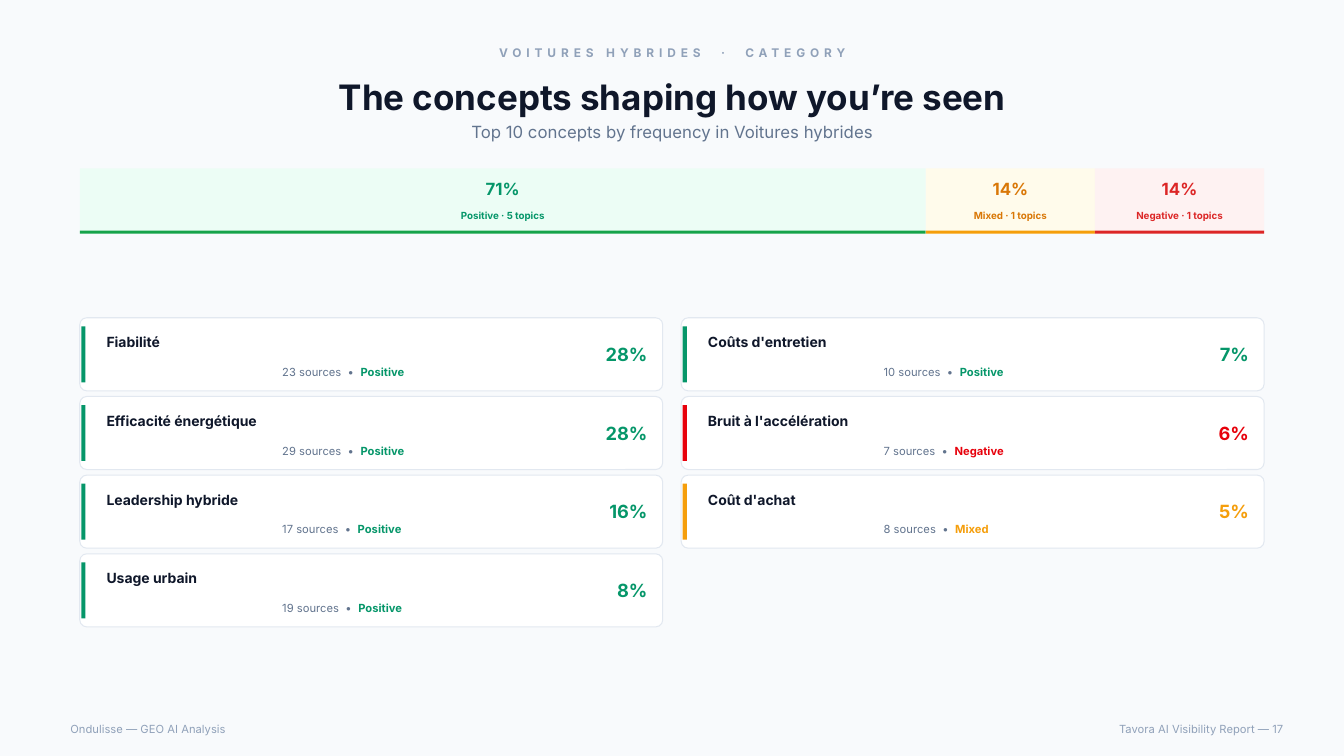
import pptx
import pptx.dml.color
import pptx.enum.shapes
import pptx.enum.text
import pptx.util

Pt = pptx.util.Pt
Shape = pptx.enum.shapes.MSO_SHAPE
Anchor = pptx.enum.text.MSO_ANCHOR
Align = pptx.enum.text.PP_ALIGN

HUES = {
    "page": "F8FAFC", "card": "FFFFFF", "edge": "E2E8F0",
    "ink": "0F172A", "slate": "62748E", "mist": "90A1B9",
    "green": "059669", "amber": "F59E0B", "red": "E7000B",
    "mint": "ECFDF5", "cream": "FFFBEB", "rose": "FEF2F2",
    "leaf": "16A34A", "ochre": "D97706", "brick": "DC2626",
}
TONES = {"Positive": "green", "Mixed": "amber", "Negative": "red"}
BANDS = [
    ("Positive", 5, "71%", "mint", "leaf", "green"),
    ("Mixed", 1, "14%", "cream", "amber", "ochre"),
    ("Negative", 1, "14%", "rose", "brick", "brick"),
]
CARDS = [
    ("Fiabilité", 23, "Positive", "28%"),
    ("Efficacité énergétique", 29, "Positive", "28%"),
    ("Leadership hybride", 17, "Positive", "16%"),
    ("Usage urbain", 19, "Positive", "8%"),
    ("Coûts d'entretien", 10, "Positive", "7%"),
    ("Bruit à l'accélération", 7, "Negative", "6%"),
    ("Coût d'achat", 8, "Mixed", "5%"),
]
LEFT, WIDTH = 57, 846
ROWS, CARD_W, CARD_H = 4, 416.4, 52.2
COL_STEP, ROW_STEP, CARD_TOP = 429.6, 56.2, 227


class Deck:
    font = "Inter"

    def __init__(self, show):
        self.slide = show.slides.add_slide(show.slide_layouts[5])
        fill = self.slide.background.fill
        fill.solid()
        fill.fore_color.rgb = self.hue("page")

    def hue(self, name):
        return pptx.dml.color.RGBColor.from_string(HUES[name])

    def put(self, shape, runs, size, align, anchor):
        frame = shape.text_frame
        frame.word_wrap = True
        frame.auto_size = pptx.enum.text.MSO_AUTO_SIZE.NONE
        frame.vertical_anchor = anchor
        para = frame.paragraphs[0]
        para.alignment = align
        for text, hue, bold in runs:
            run = para.add_run()
            run.text = text
            run.font.name = self.font
            run.font.size = Pt(size)
            run.font.bold = bold
            run.font.color.rgb = self.hue(hue)
        return para

    def title(self, text, x, y, w, h):
        shape = self.slide.shapes.title
        shape.left, shape.top, shape.width, shape.height = map(Pt, (x, y, w, h))
        self.put(shape, [(text, "ink", True)], 25, Align.CENTER, Anchor.MIDDLE)

    def text(self, runs, x, y, w, h, size, align=Align.LEFT, anchor=Anchor.MIDDLE):
        box = self.slide.shapes.add_textbox(*map(Pt, (x, y, w, h)))
        return self.put(box, runs, size, align, anchor)

    def rect(self, hue, x, y, w, h, edge=None, curve=0):
        kind = Shape.ROUNDED_RECTANGLE if curve else Shape.RECTANGLE
        shape = self.slide.shapes.add_shape(kind, *map(Pt, (x, y, w, h)))
        shape.shadow.inherit = False
        shape.fill.solid()
        shape.fill.fore_color.rgb = self.hue(hue)
        if curve:
            shape.adjustments[0] = curve / h
        if edge:
            shape.line.color.rgb = self.hue(edge)
            shape.line.width = Pt(0.75)
        else:
            shape.line.fill.background()

    def band(self, x, w, mood, count, share, back, rule, hue):
        self.rect(back, x, 120.2, w, 46.8)
        self.rect(rule, x, 164.8, w, 2.2)
        self.text([(share, hue, True)], x, 125.2, w, 20, 12, Align.CENTER)
        self.text([(f"{mood} · {count} topics", hue, True)],
                  x, 146.2, w, 15.8, 7, Align.CENTER)

    def card(self, x, y, name, count, mood, share):
        tone = TONES[mood]
        self.rect("card", x, y, CARD_W, CARD_H, "edge", 5)
        self.rect(tone, x + 1.1, y + 6.1, 3, 40)
        self.text([(name, "ink", True)], x + 12, y + 8, 326, 19.4, 10,
                  anchor=Anchor.TOP)
        self.text([(f"{count} sources  •  ", "slate", False), (mood, tone, True)],
                  x + 137.5, y + 30.4, 201, 15.8, 8, anchor=Anchor.TOP)
        self.text([(share, tone, True)], x + 360.5, y, 52, CARD_H, 13, Align.RIGHT)


def main():
    show = pptx.Presentation()
    show.slide_width, show.slide_height = Pt(960), Pt(540)
    deck = Deck(show)
    topic = deck.text([("VOITURES HYBRIDES  ·  CATEGORY", "mist", True)],
                      43.2, 28.8, 874, 18, 8.5, Align.CENTER)
    topic.runs[0]._r.get_or_add_rPr().set("spc", "350")
    deck.title("The concepts shaping how you’re seen", 43.2, 49, 874, 40.3)
    deck.text([("Top 10 concepts by frequency in Voitures hybrides", "slate", False)],
              43.2, 85, 874, 18, 12, Align.CENTER)
    deck.text([("Ondulisse — GEO AI Analysis", "mist", False)],
              43.2, 512.8, 430, 15.8, 8)
    deck.text([("Tavora AI Visibility Report — 17", "mist", False)],
              490, 512.8, 434, 15.8, 8, Align.RIGHT)

    total = sum(band[1] for band in BANDS)
    x = LEFT
    for band in BANDS:
        w = WIDTH * band[1] / total
        deck.band(x, w, *band)
        x += w

    for i, card in enumerate(CARDS):
        col, row = divmod(i, ROWS)
        deck.card(LEFT + col * COL_STEP, CARD_TOP + row * ROW_STEP, *card)
    show.save("out.pptx")


if __name__ == "__main__":
    main()
